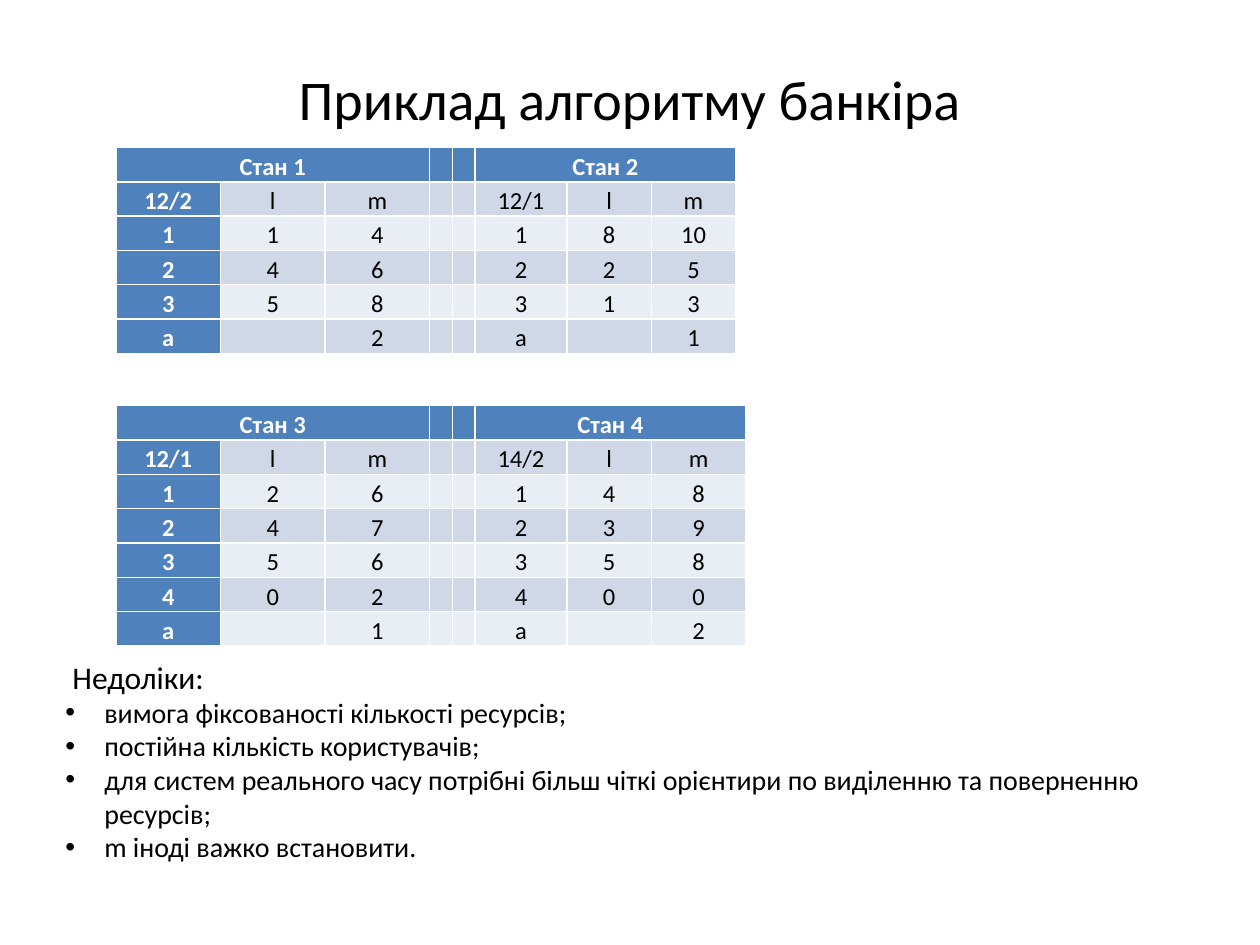
from lxml import etree
from pptx import Presentation, util as u
from pptx.dml.color import RGBColor
from pptx.enum import text
from pptx.oxml import ns

BLACK = RGBColor(0x00, 0x00, 0x00)
WHITE = RGBColor(0xFF, 0xFF, 0xFF)
HEADER_BLUE = RGBColor(0x4F, 0x81, 0xBD)
BANDS = RGBColor(0xD0, 0xD8, 0xE8), RGBColor(0xE9, 0xED, 0xF4)
FONT = "Calibri"

ROW_HEIGHT = 0.27
COLUMN_WIDTHS = [0.83, 0.83, 0.83, 0.18, 0.18, 0.73, 0.67]

# top, width of the last column, rows
STATE_TABLES = [
    (1.17, 0.67, [
        ["Стан 1", "", "", "", "", "Стан 2", "", ""],
        ["12/2", "l", "m", "", "", "12/1", "l", "m"],
        ["1", "1", "4", "", "", "1", "8", "10"],
        ["2", "4", "6", "", "", "2", "2", "5"],
        ["3", "5", "8", "", "", "3", "1", "3"],
        ["a", "", "2", "", "", "a", "", "1"],
    ]),
    (3.22, 0.75, [
        ["Стан 3", "", "", "", "", "Стан 4", "", ""],
        ["12/1", "l", "m", "", "", "14/2", "l", "m"],
        ["1", "2", "6", "", "", "1", "4", "8"],
        ["2", "4", "7", "", "", "2", "3", "9"],
        ["3", "5", "6", "", "", "3", "5", "8"],
        ["4", "0", "2", "", "", "4", "0", "0"],
        ["a", "", "1", "", "", "a", "", "2"],
    ]),
]
DRAWBACKS = [
    "вимога фіксованості кількості ресурсів;",
    "постійна кількість користувачів;",
    "для систем реального часу потрібні більш чіткі орієнтири по виділенню "
    "та поверненню ресурсів;",
    "m іноді важко встановити.",
]


def set_font(paragraph, size, color=BLACK, bold=False):
    font = paragraph.font
    font.name, font.size, font.bold = FONT, u.Pt(size), bold
    font.color.rgb = color


def add_bullet(paragraph, indent):
    properties = paragraph._p.get_or_add_pPr()
    properties.set("marL", str(indent))
    properties.set("indent", str(-indent))
    bullet = etree.Element(ns.qn("a:buChar"), char="•")
    bullet_font = etree.Element(ns.qn("a:buFont"), typeface="Arial")
    properties.insert(0, bullet_font)
    properties.insert(1, bullet)


presentation = Presentation()
presentation.slide_width, presentation.slide_height = u.Inches(10), u.Inches(7.5)
slide = presentation.slides.add_slide(presentation.slide_layouts.get_by_name("Title Only"))

title = slide.shapes.title
title.left, title.top = u.Inches(0.5), u.Inches(0.3)
title.width, title.height = u.Inches(9), u.Inches(0.95)
title.text_frame.text = "Приклад алгоритму банкіра"
title.text_frame.vertical_anchor = text.MSO_ANCHOR.MIDDLE
title_paragraph = title.text_frame.paragraphs[0]
title_paragraph.alignment = text.PP_ALIGN.CENTER
set_font(title_paragraph, 32)

for top, last_width, rows in STATE_TABLES:
    widths = COLUMN_WIDTHS + [last_width]
    table = slide.shapes.add_table(
        len(rows), len(widths), u.Inches(0.92), u.Inches(top),
        u.Inches(sum(widths)), u.Inches(ROW_HEIGHT * len(rows))).table
    table.first_col = True
    for column, width in zip(table.columns, widths):
        column.width = u.Inches(width)
    for row_index, row in enumerate(rows):
        for column_index, value in enumerate(row):
            is_header = row_index == 0 or column_index == 0
            cell = table.cell(row_index, column_index)
            cell.fill.solid()
            cell.fill.fore_color.rgb = HEADER_BLUE if is_header else BANDS[(row_index - 1) % 2]
            cell.margin_left = cell.margin_right = u.Inches(0.07)
            cell.margin_top = cell.margin_bottom = 0
            cell.text = value
            paragraph = cell.text_frame.paragraphs[0]
            paragraph.alignment = text.PP_ALIGN.CENTER
            paragraph.line_spacing = 1.15
            set_font(paragraph, 14, WHITE if is_header else BLACK, is_header)
    for first in (0, 5):
        table.cell(0, first).merge(table.cell(0, first + 2))

drawbacks_box = slide.shapes.add_textbox(
    u.Inches(0.42), u.Inches(5.17), u.Inches(8.92), u.Inches(1.75))
frame = drawbacks_box.text_frame
frame.word_wrap = True
frame.auto_size = text.MSO_AUTO_SIZE.SHAPE_TO_FIT_TEXT
frame.text = " Недоліки:"
set_font(frame.paragraphs[0], 18)
for drawback in DRAWBACKS:
    paragraph = frame.add_paragraph()
    paragraph.text = drawback
    set_font(paragraph, 16)
    add_bullet(paragraph, u.Inches(0.31))

presentation.save("out.pptx")
